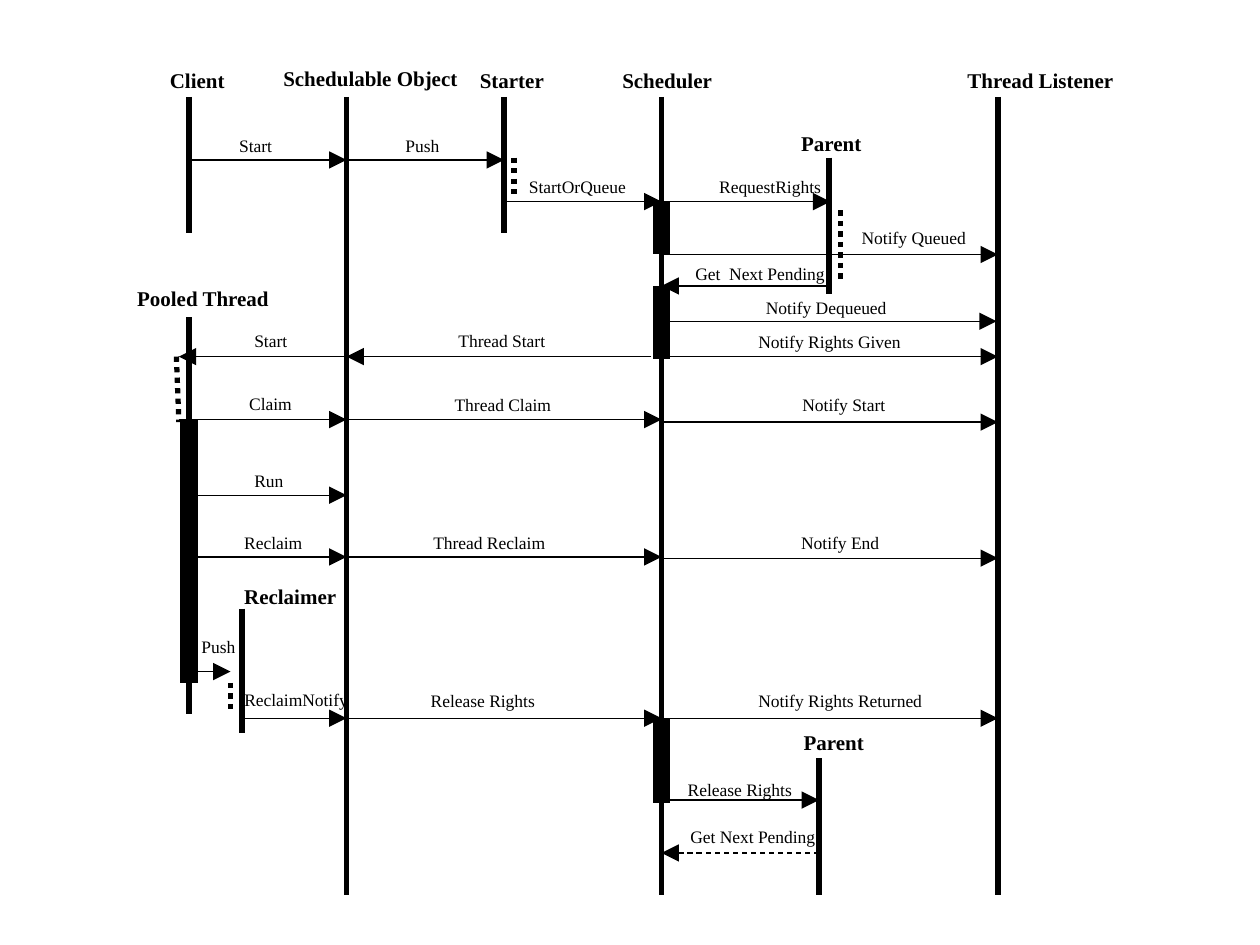
from lxml import etree
from pptx import Presentation
from pptx.dml.color import RGBColor
from pptx.enum.dml import MSO_LINE
from pptx.enum.shapes import MSO_CONNECTOR
from pptx.enum.text import MSO_AUTO_SIZE
from pptx.oxml.ns import qn
from pptx.util import Inches, Pt

STRAIGHT = MSO_CONNECTOR.STRAIGHT
DOTTED = MSO_LINE.ROUND_DOT
DASHED = MSO_LINE.DASH
NO_AUTOSIZE = MSO_AUTO_SIZE.NONE
FONT = "Times New Roman"
BLACK = "000000"

CLIENT, OBJECT, STARTER, SCHEDULER, LISTENER = 1.5, 2.75, 4, 5.25, 7.92
RECLAIMER, PARENT, LOWER_PARENT = 1.92, 6.58, 6.5
TOP, BOTTOM = 0.77, 7.1

# name, label left, label top, label width, lifeline x, lifeline top, lifeline bottom
PARTICIPANTS = [
    ("Client", 1.25, 0.49, 0.63, CLIENT, TOP, 1.85),
    ("Schedulable Object", 2.15, 0.47, 1.58, OBJECT, TOP, BOTTOM),
    ("Starter", 3.71, 0.49, 0.71, STARTER, TOP, 1.85),
    ("Scheduler", 4.84, 0.49, 0.91, SCHEDULER, TOP, BOTTOM),
    ("Thread Listener", 7.58, 0.49, 1.36, LISTENER, TOP, BOTTOM),
    ("Parent", 6.26, 0.99, 0.68, PARENT, 1.25, 2.33),
    ("Pooled Thread", 0.99, 2.22, 1.25, CLIENT, 2.52, 5.67),
    ("Reclaimer", 1.84, 4.58, 0.93, RECLAIMER, 4.83, 5.82),
    ("Parent", 6.28, 5.74, 0.68, LOWER_PARENT, 6.02, BOTTOM),
]

# name, label left, label top, label width, arrow start x, arrow end x, arrow y
MESSAGES = [
    ("Start", 1.8, 1.02, 0.46, CLIENT, OBJECT, 1.27),
    ("Push", 3.12, 1.02, 0.47, OBJECT, STARTER, 1.27),
    ("StartOrQueue", 4.1, 1.35, 0.97, STARTER, SCHEDULER, 1.6),
    ("RequestRights", 5.61, 1.35, 1, SCHEDULER, 6.59, 1.6),
    ("Notify Queued", 6.74, 1.75, 1.02, SCHEDULER, LISTENER, 2.02),
    ("Get  Next Pending", 5.42, 2.04, 1.22, 6.59, SCHEDULER, 2.27),
    ("Notify Dequeued", 5.98, 2.31, 1.15, 5.24, 7.91, 2.55),
    ("Notify Rights Given", 5.92, 2.58, 1.33, SCHEDULER, LISTENER, 2.83),
    ("Thread Start", 3.54, 2.57, 0.89, 5.17, OBJECT, 2.83),
    ("Start", 1.92, 2.57, 0.46, OBJECT, 1.42, 2.83),
    ("Claim", 1.88, 3.07, 0.54, 1.42, OBJECT, 3.33),
    ("Thread Claim", 3.51, 3.08, 0.96, OBJECT, SCHEDULER, 3.33),
    ("Notify Start", 6.27, 3.08, 0.85, SCHEDULER, LISTENER, 3.35),
    ("Run", 1.92, 3.68, 0.43, CLIENT, OBJECT, 3.93),
    ("Reclaim", 1.84, 4.17, 0.66, CLIENT, OBJECT, 4.42),
    ("Thread Reclaim", 3.34, 4.17, 1.09, OBJECT, SCHEDULER, 4.42),
    ("Notify End", 6.26, 4.17, 0.82, SCHEDULER, LISTENER, 4.43),
    ("Push", 1.5, 5, 0.47, CLIENT, 1.83, 5.33),
    ("ReclaimNotify", 1.84, 5.42, 1.02, RECLAIMER, OBJECT, 5.7),
    ("Release Rights", 3.32, 5.43, 1.02, OBJECT, SCHEDULER, 5.7),
    ("Notify Rights Returned", 5.92, 5.43, 1.5, SCHEDULER, LISTENER, 5.7),
    ("Release Rights", 5.36, 6.13, 1.02, SCHEDULER, LOWER_PARENT, 6.35),
]
REPLY = ("Get Next Pending", 5.38, 6.51, 1.19, LOWER_PARENT, SCHEDULER, 6.77)

ACTIVATIONS = [
    (SCHEDULER, 1.6, 2.02),
    (SCHEDULER, 2.27, 2.85),
    (CLIENT, 3.33, 5.42),
    (SCHEDULER, 5.7, 6.37),
]
WAITS = [
    (4.08, 1.25, 4.08, 1.58),
    (6.67, 1.67, 6.67, 2.25),
    (1.4, 2.83, 1.42, 3.35),
    (1.83, 5.42, 1.83, 5.67),
]


def color(value):
    return RGBColor.from_string(value)


def add_line(page, x1, y1, x2, y2, weight, dash=None, arrow=False):
    line = page.shapes.add_connector(
        STRAIGHT, Inches(x1), Inches(y1), Inches(x2), Inches(y2))
    line.line.color.rgb = color(BLACK)
    line.line.width = Pt(weight)
    if dash is not None:
        line.line.dash_style = dash
    if arrow:
        etree.SubElement(line.line._get_or_add_ln(), qn("a:tailEnd"),
                         type="triangle", w="lg", len="lg")
    etree.SubElement(line._element.spPr, qn("a:effectLst"))


def add_label(page, text, left, top, width, size, bold=False):
    height = 0.3 if bold else 0.27
    box = page.shapes.add_textbox(
        Inches(left), Inches(top), Inches(width), Inches(height))
    frame = box.text_frame
    frame.word_wrap = False
    frame.auto_size = NO_AUTOSIZE
    frame.text = text
    font = frame.paragraphs[0].runs[0].font
    font.name = FONT
    font.size = Pt(size)
    font.bold = bold
    font.color.rgb = color(BLACK)


def add_message(page, message, dash=None):
    text, left, top, width, start, end, y = message
    add_line(page, start, y, end, y, 0.75, dash, arrow=True)
    add_label(page, text, left, top, width, 10)


def main():
    deck = Presentation()
    deck.slide_width, deck.slide_height = Inches(10), Inches(7.5)
    page = deck.slides.add_slide(deck.slide_layouts[6])
    for text, left, top, width, x, start, end in PARTICIPANTS:
        add_line(page, x, start, x, end, 3)
        add_label(page, text, left, top, width, 12, bold=True)
    for x, start, end in ACTIVATIONS:
        add_line(page, x, start, x, end, 10)
    for wait in WAITS:
        add_line(page, *wait, 3, DOTTED)
    for message in MESSAGES:
        add_message(page, message)
    add_message(page, REPLY, DASHED)
    deck.save("out.pptx")


if __name__ == "__main__":
    main()
